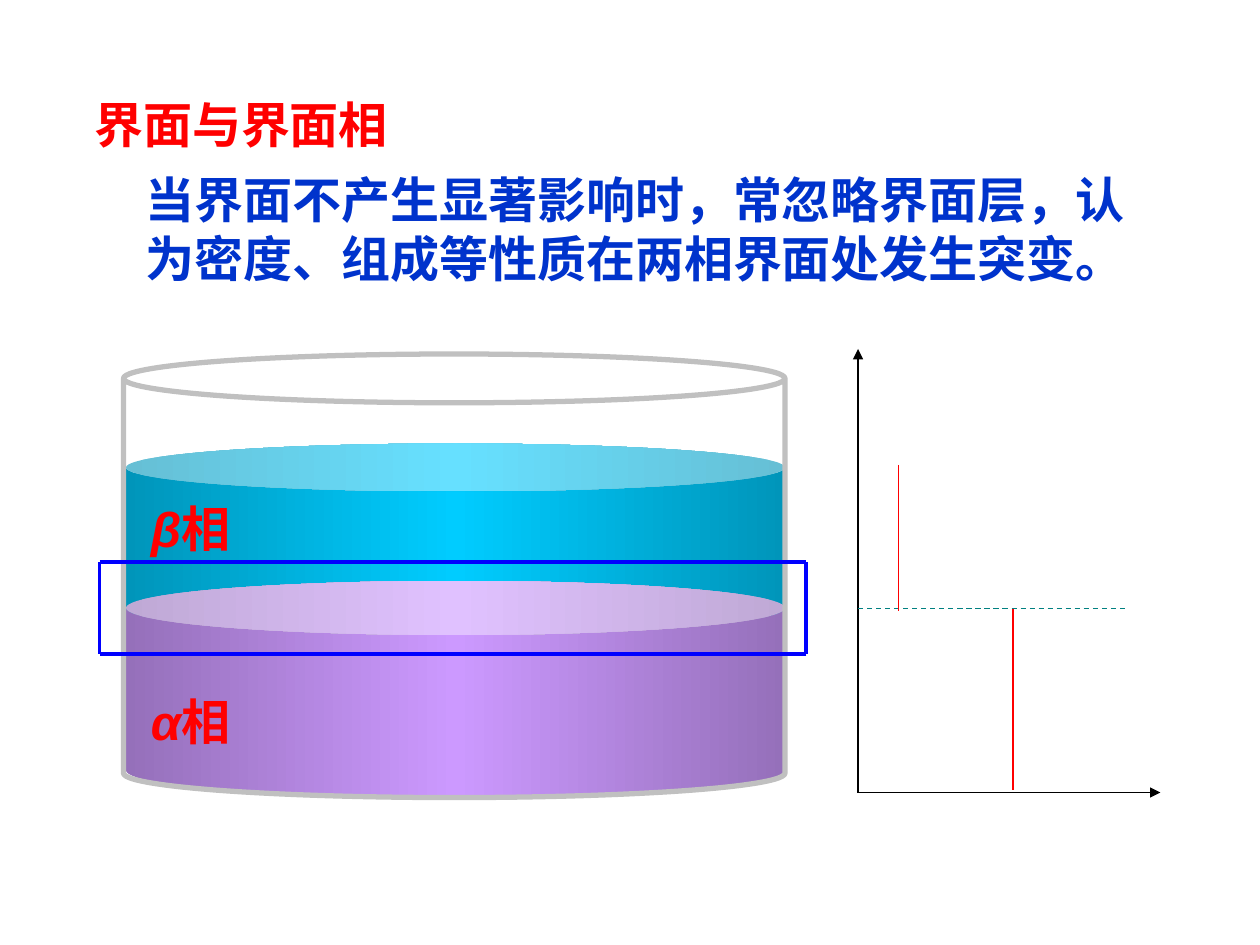
"""Build the slide on interfaces and interfacial phases, on a grid of 100 columns by 75 rows."""
import copy
from dataclasses import dataclass
from typing import NamedTuple, Optional

import pptx
import pptx.dml.color
import pptx.enum.dml
import pptx.enum.shapes
import pptx.enum.text
import pptx.oxml
import pptx.oxml.ns
import pptx.util


@dataclass(frozen=True)
class Theme:
    red: str = "FF0000"
    body_blue: str = "0033CC"
    frame_blue: str = "0000FF"
    axis: str = "000000"
    level: str = "008080"
    glass: str = "C0C0C0"
    beta: tuple = ("0095BA", "00CCFF", "0095BA")
    alpha: tuple = ("9570BA", "CC99FF", "9570BA")
    latin: str = "Times New Roman"
    greek: str = "Arial"
    size: float = 28
    glass_width: float = 3
    frame_width: float = 2.25
    axis_width: float = 0.75
    density_width: float = 1


class Box(NamedTuple):
    column: float
    row: float
    columns: float
    rows: float


class Can(NamedTuple):
    box: Box
    lid: float
    gradient: Optional[tuple] = None


class Stroke(NamedTuple):
    start: tuple
    end: tuple
    color: str
    width: float
    arrow: bool = False
    dashed: bool = False


class Piece(NamedTuple):
    text: str
    color: str
    font: str
    italic: bool = False


class Label(NamedTuple):
    box: Box
    pieces: tuple
    align: Optional[pptx.enum.text.PP_ALIGN] = None
    anchor: Optional[pptx.enum.text.MSO_ANCHOR] = None
    wrap: bool = True


THEME = Theme()
WIDTH, HEIGHT = pptx.util.Inches(10), pptx.util.Inches(7.5)
COLUMN, ROW = WIDTH / 100, HEIGHT / 75


def rgb(color: str) -> pptx.dml.color.RGBColor:
    """Turn a hex string into a colour."""
    return pptx.dml.color.RGBColor.from_string(color)


def point(column: float, row: float) -> tuple:
    """Turn grid units into slide lengths."""
    return round(column * COLUMN), round(row * ROW)


def place(box: Box) -> tuple:
    """Give left, top, width and height of a grid box."""
    return *point(box.column, box.row), *point(box.columns, box.rows)


def draw_can(shapes, can: Can) -> None:
    """Draw a cylinder, either filled with a gradient or as an empty vessel."""
    cylinder = shapes.add_shape(pptx.enum.shapes.MSO_SHAPE.CAN, *place(can.box))
    cylinder.shadow.inherit = False
    cylinder.adjustments[0] = can.lid
    if can.gradient is None:
        cylinder.fill.background()
        cylinder.line.color.rgb = rgb(THEME.glass)
        cylinder.line.width = pptx.util.Pt(THEME.glass_width)
        return
    cylinder.line.fill.background()
    cylinder.fill.gradient()
    cylinder.fill.gradient_angle = 0
    stop_list = next(cylinder._element.spPr.iter(pptx.oxml.ns.qn("a:gsLst")))
    stop_list.append(copy.deepcopy(stop_list[0]))
    for index, (stop, color) in enumerate(zip(cylinder.fill.gradient_stops, can.gradient)):
        stop.position = index / 2
        stop.color.rgb = rgb(color)


def draw_stroke(shapes, stroke: Stroke) -> None:
    """Draw a straight line, with an arrowhead or dashes where asked."""
    connector = shapes.add_connector(
        pptx.enum.shapes.MSO_CONNECTOR.STRAIGHT, *point(*stroke.start), *point(*stroke.end))
    connector.line.color.rgb = rgb(stroke.color)
    connector.line.width = pptx.util.Pt(stroke.width)
    if stroke.dashed:
        connector.line.dash_style = pptx.enum.dml.MSO_LINE.DASH
    if stroke.arrow:
        outline = connector.line._get_or_add_ln()
        head = pptx.oxml.parse_xml(f'<a:tailEnd {pptx.oxml.ns.nsdecls("a")} type="triangle"/>')
        outline.append(head)
    effects = pptx.oxml.parse_xml(f'<a:effectLst {pptx.oxml.ns.nsdecls("a")}/>')
    connector._element.spPr.append(effects)


def draw_label(shapes, label: Label) -> None:
    """Write a label run by run."""
    frame = shapes.add_textbox(*place(label.box)).text_frame
    frame.word_wrap = label.wrap
    frame.auto_size = pptx.enum.text.MSO_AUTO_SIZE.SHAPE_TO_FIT_TEXT
    frame.vertical_anchor = label.anchor
    paragraph = frame.paragraphs[0]
    paragraph.alignment = label.align
    for piece in label.pieces:
        run = paragraph.add_run()
        run.text = piece.text
        run.font.name = piece.font
        run.font.size = pptx.util.Pt(THEME.size)
        run.font.bold = True
        run.font.italic = piece.italic
        run.font.color.rgb = rgb(piece.color)


def phase_label(letter: str, row: float) -> Label:
    """Name a phase by its Greek letter, on a single line."""
    return Label(Box(11, row, 9.3, 5.7), (
        Piece(letter, THEME.red, THEME.greek, italic=True),
        Piece("相", THEME.red, THEME.latin)), wrap=False)


def main() -> None:
    """Build and save the slide."""
    deck = pptx.Presentation()
    deck.slide_width, deck.slide_height = WIDTH, HEIGHT
    shapes = deck.slides.add_slide(deck.slide_layouts[6]).shapes

    for can in (Can(Box(10, 35.2, 52.3, 15.2), 0.25, THEME.beta),
                Can(Box(10, 46.1, 52.3, 17.2), 0.25, THEME.alpha),
                Can(Box(9.8, 28.1, 52.5, 35.2), 0.11)):
        draw_can(shapes, can)

    origin, interface = (68.1, 62.9), 48.3
    for stroke in (
            Stroke(origin, (68.1, 27.7), THEME.axis, THEME.axis_width, arrow=True),
            Stroke(origin, (92.1, 62.9), THEME.axis, THEME.axis_width, arrow=True),
            Stroke((68.1, interface), (89.4, interface), THEME.level, THEME.axis_width, dashed=True),
            Stroke((71.3, 36.9), (71.3, 48.5), THEME.red, THEME.density_width),
            Stroke((80.4, interface), (80.4, 62.7), THEME.red, THEME.density_width)):
        draw_stroke(shapes, stroke)

    left, right, top, bottom = 7.9, 64, 44.6, 51.9
    corners = ((left, top), (right, top), (right, bottom), (left, bottom))
    for start, end in zip(corners, corners[1:] + corners[:1]):
        draw_stroke(shapes, Stroke(start, end, THEME.frame_blue, THEME.frame_width))

    title = Piece("界面与界面相", THEME.red, THEME.latin)
    statement = Piece("当界面不产生显著影响时，常忽略界面层，认为密度、组成等性质在两相界面处发生突变。",
                      THEME.body_blue, THEME.latin)
    for label in (
            Label(Box(6.5, 7, 26.6, 5.7), (title,), pptx.enum.text.PP_ALIGN.JUSTIFY,
                  pptx.enum.text.MSO_ANCHOR.MIDDLE),
            Label(Box(10.6, 13, 82, 10.3), (statement,)),
            phase_label("β", 39.1),
            phase_label("α", 54.4)):
        draw_label(shapes, label)

    deck.save("out.pptx")


if __name__ == "__main__":
    main()
